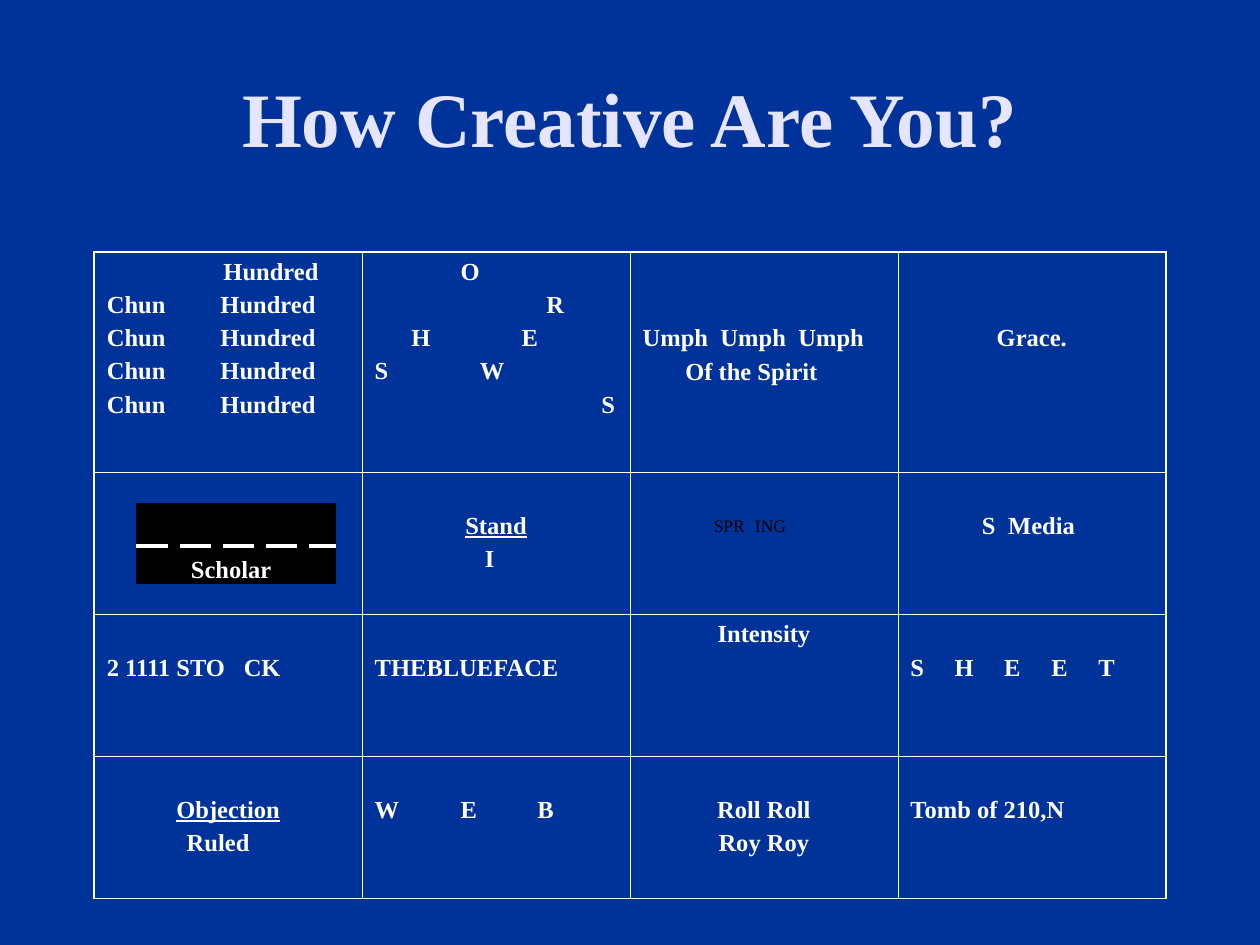
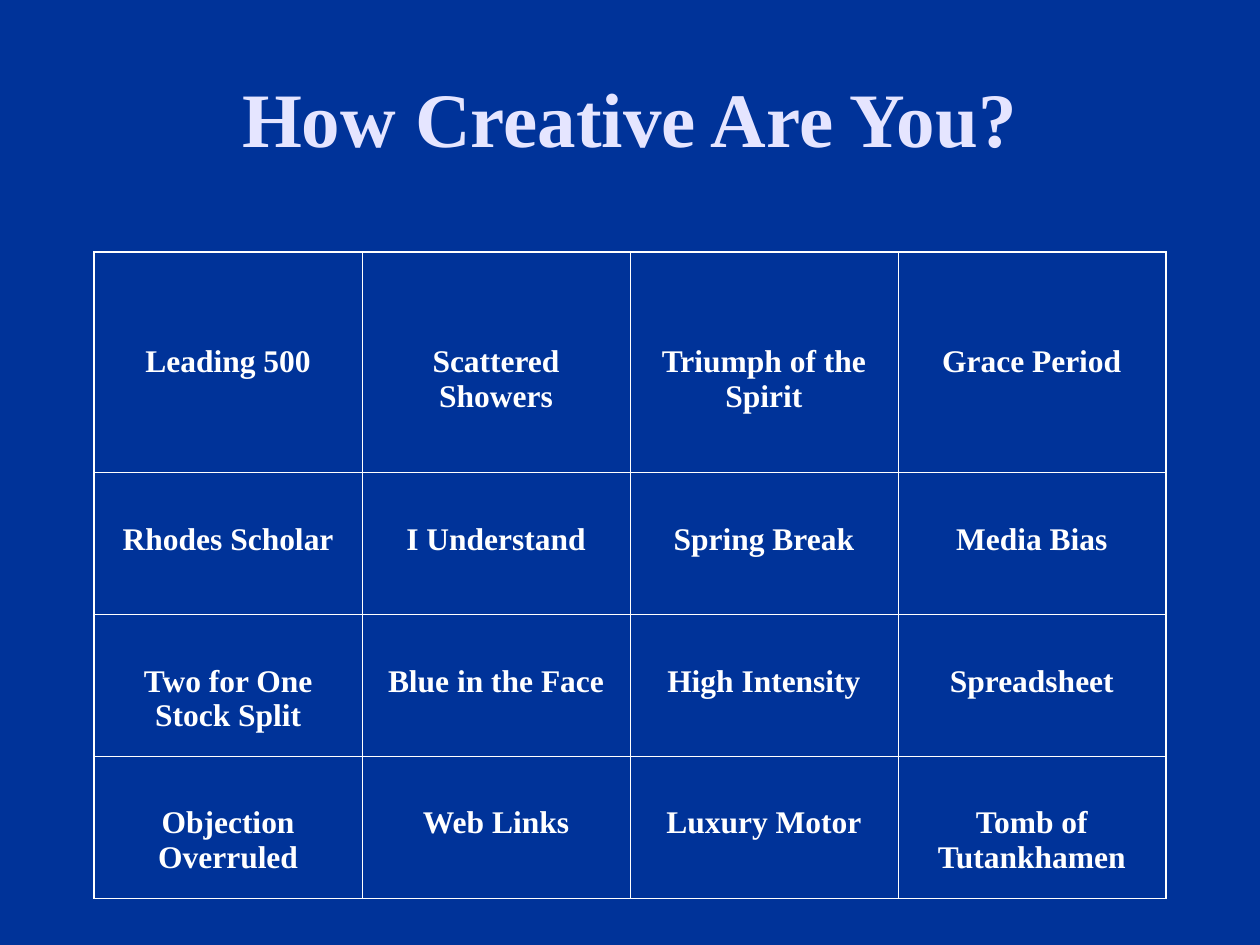
import pptx
import pptx.dml.color
import pptx.enum.dml
import pptx.enum.shapes
import pptx.enum.text
import pptx.oxml
import pptx.oxml.ns
import pptx.util

Cm, Pt = pptx.util.Cm, pptx.util.Pt
RGBColor = pptx.dml.color.RGBColor
ALIGN = pptx.enum.text.PP_ALIGN

NAVY = RGBColor(0x00, 0x33, 0x99)
LAVENDER = RGBColor(0xE5, 0xE5, 0xFF)
WHITE = RGBColor(0xFF, 0xFF, 0xFF)
BLACK = RGBColor(0x00, 0x00, 0x00)
FONT = "Times New Roman"

TITLE = "How Creative Are You?"
COLUMN_WIDTH = 5.4
ROW_HEIGHTS = (4.45, 2.86, 2.86, 2.86)
CELL_TOP = 0.13
INNER_BORDER, OUTER_BORDER = 0.45, 1.08


def line(text, *tabs, **fmt):
    """One paragraph: its text, tab stops in cm, and format."""
    return text, dict(fmt, tabs=tabs)


def centred(text, **fmt):
    return line(text, align=ALIGN.CENTER, **fmt)


def write(p, text, size=14, color=WHITE, bold=True, underline=False,
          align=ALIGN.LEFT, tabs=(), before=0):
    p.alignment = align
    p.space_before = Pt(before)
    if tabs:
        stops = pptx.oxml.parse_xml(
            f"<a:tabLst {pptx.oxml.ns.nsdecls('a')}>"
            + "".join(f'<a:tab pos="{Cm(x)}" algn="l"/>' for x in tabs)
            + "</a:tabLst>")
        p._p.get_or_add_pPr().append(stops)
    r = p.add_run()
    r.text = text
    r.font.name = FONT
    r.font.size = Pt(size)
    r.font.bold = bold
    r.font.underline = underline
    r.font.color.rgb = color


class Deck:
    def __init__(self):
        self.prs = pptx.Presentation()
        self.prs.slide_width, self.prs.slide_height = Cm(25.4), Cm(19.05)
        fill = self.prs.slide_master.background.fill
        fill.solid()
        fill.fore_color.rgb = NAVY
        self.s = None

    def new_slide(self, title):
        self.s = self.prs.slides.add_slide(self.prs.slide_layouts[6])
        self.text(1.27, 0.76, 22.86, 3.18, title, size=44, color=LAVENDER,
                  align=ALIGN.CENTER, anchor=pptx.enum.text.MSO_ANCHOR.MIDDLE)

    def text(self, x, y, w, h, text, anchor=pptx.enum.text.MSO_ANCHOR.TOP, **fmt):
        tf = self.s.shapes.add_textbox(Cm(x), Cm(y), Cm(w), Cm(h)).text_frame
        tf.word_wrap = True
        tf.vertical_anchor = anchor
        write(tf.paragraphs[0], text, **fmt)

    def box(self, x, y, w, h, color):
        sp = self.s.shapes.add_shape(pptx.enum.shapes.MSO_SHAPE.RECTANGLE,
                                     Cm(x), Cm(y), Cm(w), Cm(h))
        sp.shadow.inherit = False
        sp.fill.solid()
        sp.fill.fore_color.rgb = color
        sp.line.color.rgb = color
        sp.line.width = Pt(0.75)

    def dashes(self, x1, x2, y, color):
        sp = self.s.shapes.add_connector(pptx.enum.shapes.MSO_CONNECTOR.STRAIGHT,
                                         Cm(x1), Cm(y), Cm(x2), Cm(y))
        sp.line.color.rgb = color
        sp.line.width = Pt(2.25)
        sp.line.dash_style = pptx.enum.dml.MSO_LINE.LONG_DASH
        sp._element.spPr.append(pptx.oxml.parse_xml(
            f"<a:effectLst {pptx.oxml.ns.nsdecls('a')}/>"))

    def grid(self, rows, size):
        """Each cell is (number of lines to drop from the top, paragraphs)."""
        n_rows, n_cols = len(rows), len(rows[0])
        table = self.s.shapes.add_table(
            n_rows, n_cols, Cm(1.9), Cm(5.08),
            Cm(n_cols * COLUMN_WIDTH), Cm(sum(ROW_HEIGHTS))).table
        table.first_row = table.horz_banding = False
        for column in table.columns:
            column.width = Cm(COLUMN_WIDTH)
        for row, height in zip(table.rows, ROW_HEIGHTS):
            row.height = Cm(height)
        for i, row in enumerate(rows):
            for j, (drop, lines) in enumerate(row):
                cell = table.cell(i, j)
                self.borders(cell, L=j == 0, R=j == n_cols - 1,
                             T=i == 0, B=i == n_rows - 1)
                cell.fill.background()
                # A dropped line is the line height plus a quarter of the size
                cell.margin_top = Cm(CELL_TOP) + Pt(drop * 1.36 * size)
                tf = cell.text_frame
                for k, (text, fmt) in enumerate(lines):
                    p = tf.add_paragraph() if k else tf.paragraphs[0]
                    write(p, text, size=size, before=size / 4 if k else 0, **fmt)

    def borders(self, cell, **outer_sides):
        tcPr = cell._tc.get_or_add_tcPr()
        for side, outer in outer_sides.items():
            width = Pt(OUTER_BORDER if outer else INNER_BORDER)
            tcPr.append(pptx.oxml.parse_xml(
                f'<a:ln{side} {pptx.oxml.ns.nsdecls("a")} w="{width}"><a:solidFill>'
                f'<a:srgbClr val="{WHITE}"/></a:solidFill></a:ln{side}>'))


CLUES = [
    [(0, [line("\tHundred", 2.35)] + [line("Chun\tHundred", 2.29)] * 4),
     (0, [line("\tO", 1.73), line("\tR", 3.46), line("\tH\tE", 0.74, 2.96),
          line("S\tW", 2.12), line("\tS", 4.57)]),
     (2, [line("Umph\tUmph\tUmph", 1.57, 3.14), line("\tOf the Spirit", 0.86)]),
     (2, [centred("Grace.")])],
    [(0, []),
     (1, [centred("Stand", underline=True), line("\tI", 2.22)]),
     (0, []),
     (1, [line("\tS\tMedia", 1.44, 1.97)])],
    [(1, [line("2 1111 STO\tCK", 2.76)]),
     (1, [line("THEBLUEFACE")]),
     (0, [centred("Intensity")]),
     (1, [line("S\tH\tE\tE\tT", 0.89, 1.89, 2.84, 3.79)])],
    [(1, [centred("Objection", underline=True), line("\tRuled", 1.61)]),
     (1, [line("W\tE\tB", 1.73, 3.28)]),
     (1, [centred("Roll Roll"), centred("Roy Roy")]),
     (1, [line("Tomb of 210,N")])],
]

ANSWERS = [
    ["Leading 500", "Scattered Showers", "Triumph of the Spirit", "Grace Period"],
    ["Rhodes Scholar", "I Understand", "Spring Break", "Media Bias"],
    ["Two for One Stock Split", "Blue in the Face", "High Intensity", "Spreadsheet"],
    ["Objection Overruled", "Web Links", "Luxury Motor", "Tomb of Tutankhamen"],
]


def clue_slide(deck):
    deck.new_slide(TITLE)
    deck.grid(CLUES, size=14)
    deck.box(2.75, 10.16, 4.02, 1.6, BLACK)
    deck.dashes(2.75, 6.77, 11, WHITE)
    deck.text(3.6, 11.05, 2.2, 0.86, "Scholar")
    deck.text(14.14, 10.26, 2.3, 1.37, "SPR\tING", size=10, color=BLACK,
              bold=False, tabs=(0.83,))


def answer_slide(deck):
    deck.new_slide(TITLE)
    deck.grid([[(1 if i else 2, [centred(answer)]) for answer in row]
               for i, row in enumerate(ANSWERS)], size=18)


def main():
    deck = Deck()
    clue_slide(deck)
    answer_slide(deck)
    deck.prs.save("out.pptx")


if __name__ == "__main__":
    main()
